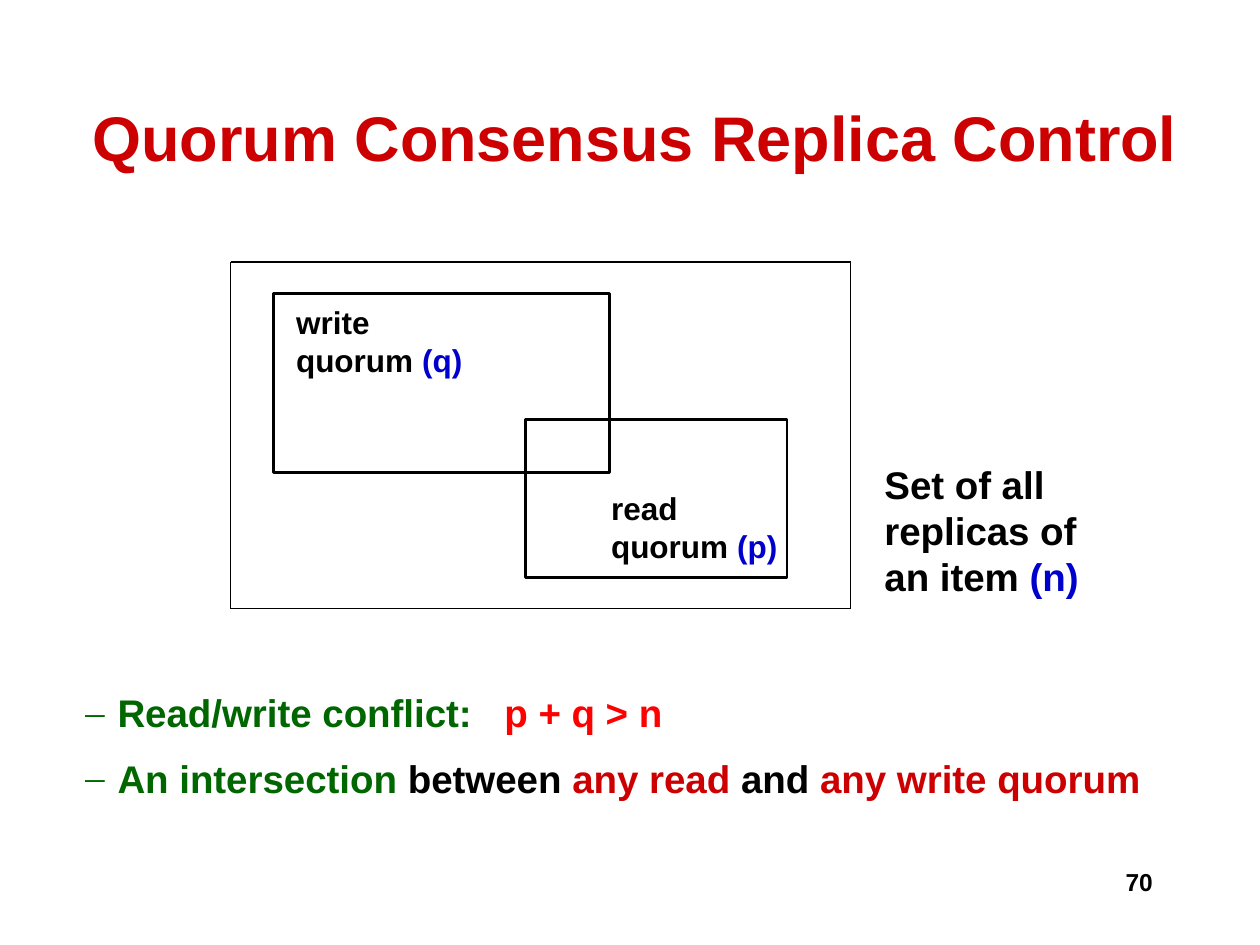
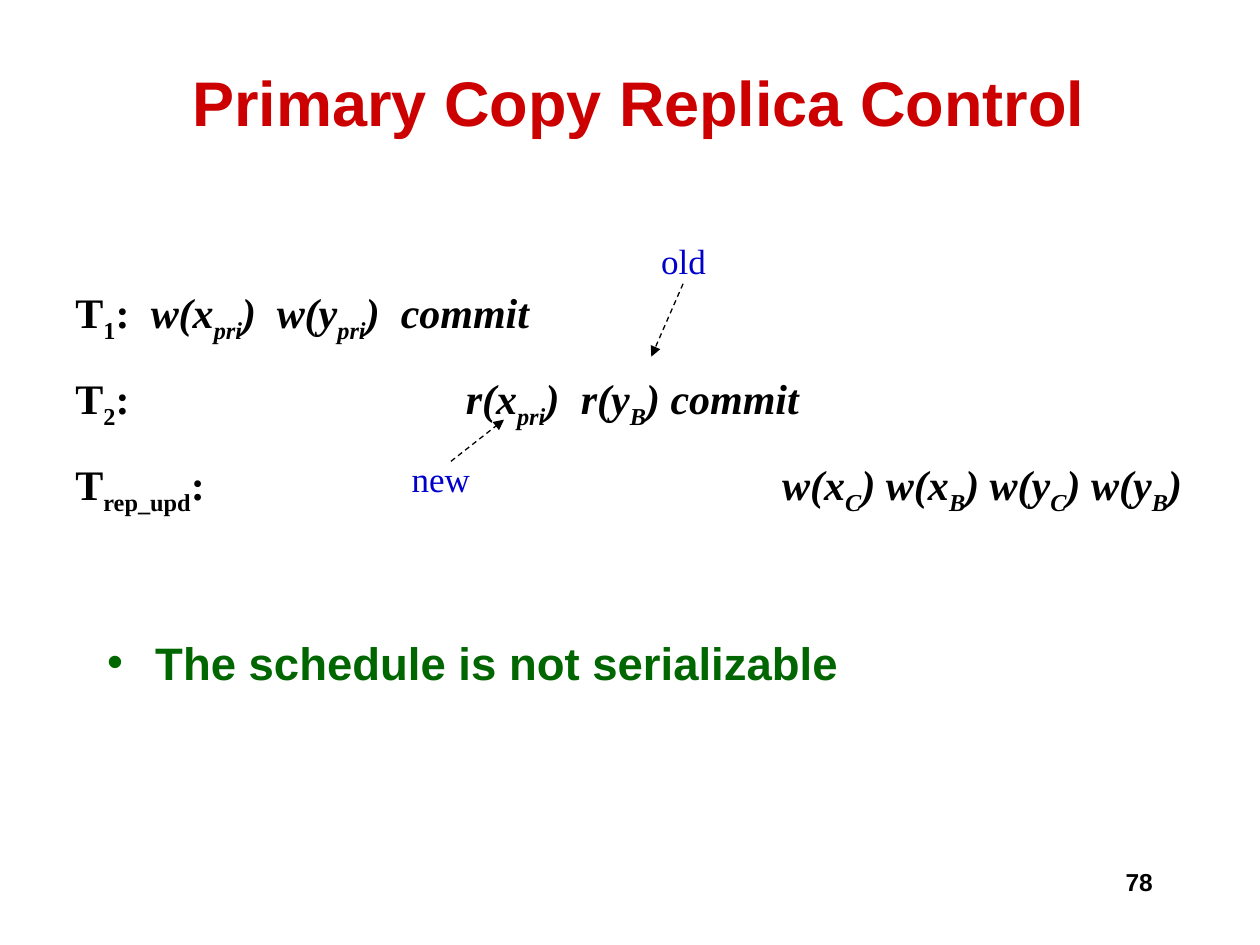
from lxml.etree import SubElement
from pptx import Presentation
from pptx.dml.color import RGBColor
from pptx.enum.dml import MSO_LINE
from pptx.enum.shapes import MSO_CONNECTOR as CONNECTOR, MSO_SHAPE as SHAPE
from pptx.enum.text import MSO_ANCHOR as ANCHOR, PP_ALIGN as ALIGN
from pptx.oxml.ns import qn
from pptx.util import Cm, Pt

BLACK = RGBColor(0x00, 0x00, 0x00)
CRIMSON = RGBColor(0xCC, 0x00, 0x00)
RED = RGBColor(0xFF, 0x00, 0x00)
BLUE = RGBColor(0x00, 0x00, 0xCC)
GREEN = RGBColor(0x00, 0x66, 0x00)
SANS, SERIF = "Arial", "Times New Roman"


class Deck:
    def __init__(self):
        self.presentation = Presentation()
        self.presentation.slide_width = Cm(25.4)
        self.presentation.slide_height = Cm(19.05)
        self.slide = None

    def new_slide(self, title, title_box, number):
        self.slide = self.presentation.slides.add_slide(self.presentation.slide_layouts[6])
        self.text(title_box, [[(title, CRIMSON)]], 36, align=ALIGN.CENTER, anchor=ANCHOR.MIDDLE)
        self.text((18.21, 17.35, 5.28, 1.27), [[(number, BLACK)]], 14, align=ALIGN.RIGHT)

    def frame(self, box, wrap=True, anchor=ANCHOR.TOP):
        text_frame = self.slide.shapes.add_textbox(*map(Cm, box)).text_frame
        text_frame.word_wrap = wrap
        text_frame.vertical_anchor = anchor
        return text_frame

    def paragraph(self, text_frame, index, size, font=SANS, bold=True):
        paragraph = text_frame.add_paragraph() if index else text_frame.paragraphs[0]
        paragraph.font.size = Pt(size)
        paragraph.font.name = font
        paragraph.font.bold = bold
        return paragraph

    def colour_runs(self, paragraph, runs):
        if len({colour for _, colour in runs}) == 1:
            paragraph.font.color.rgb = runs[0][1]
        for text, colour in runs:
            run = paragraph.add_run()
            run.text = text
            if len(runs) > 1:
                run.font.color.rgb = colour

    def text(self, box, lines, size, font=SANS, bold=True, align=ALIGN.LEFT,
             anchor=ANCHOR.TOP, wrap=True):
        text_frame = self.frame(box, wrap, anchor)
        for index, runs in enumerate(lines):
            paragraph = self.paragraph(text_frame, index, size, font, bold)
            paragraph.alignment = align
            self.colour_runs(paragraph, runs)

    def bullets(self, box, items, size, character, indent, font):
        text_frame = self.frame(box)
        for index, (space, stops, runs) in enumerate(items):
            paragraph = self.paragraph(text_frame, index, size)
            paragraph.space_before = Pt(size * space)
            self.colour_runs(paragraph, runs)
            properties = paragraph._p.get_or_add_pPr()
            properties.set("marL", str(Cm(indent)))
            properties.set("indent", str(-Cm(indent)))
            SubElement(properties, qn("a:buFont"), typeface=font)
            SubElement(properties, qn("a:buChar"), char=character)
            self.tabs(properties, stops)

    def tabs(self, properties, stops):
        if stops:
            tab_list = SubElement(properties, qn("a:tabLst"))
            for stop in stops:
                SubElement(tab_list, qn("a:tab"), pos=str(Cm(stop)), algn="l")
        defaults = properties.find(qn("a:defRPr"))
        properties.append(defaults)

    def schedule(self, box, rows, size):
        text_frame = self.frame(box)
        for index, (transaction, operations, stops) in enumerate(rows):
            paragraph = self.paragraph(text_frame, index, size, SERIF)
            paragraph.font.color.rgb = BLACK
            paragraph.line_spacing = 1.5
            self.tabs(paragraph._p.get_or_add_pPr(), stops)
            self.subscripted(paragraph, f"T|{transaction}|:\t", False)
            self.subscripted(paragraph, operations, True)

    def subscripted(self, paragraph, markup, italic):
        for position, part in enumerate(markup.split("|")):
            run = paragraph.add_run()
            run.text = part
            run.font.italic = italic
            if position % 2:
                run._r.get_or_add_rPr().set("baseline", "-25000")

    def line(self, start, end, arrow=False):
        connector = self.slide.shapes.add_connector(
            CONNECTOR.STRAIGHT, *map(Cm, (*start, *end)))
        connector.line.color.rgb = BLACK
        connector.line.width = Pt(0.75)
        if arrow:
            connector.line.dash_style = MSO_LINE.DASH
            SubElement(connector.line._get_or_add_ln(), qn("a:tailEnd"), type="triangle")
        SubElement(connector._element.spPr, qn("a:effectLst"))

    def rectangle(self, box):
        shape = self.slide.shapes.add_shape(SHAPE.RECTANGLE, *map(Cm, box))
        shape.shadow.inherit = False
        shape.fill.background()
        shape.line.color.rgb = BLACK
        shape.line.width = Pt(1.5)

    def quorum(self, kind, symbol, label_box, box):
        self.text(label_box, [[(kind, BLACK)], [("quorum ", BLACK), (symbol, BLUE)]],
                  18, wrap=False)
        self.rectangle(box)

    def callout(self, label, box, start, end):
        self.text(box, [[(label, BLUE)]], 20, SERIF, bold=False, wrap=False)
        self.line(start, end, arrow=True)


deck = Deck()

deck.new_slide("Quorum Consensus Replica Control", (1.47, 1.47, 22.66, 2.54), "70")
left, top, right, bottom = 4.65, 5.28, 17.15, 12.27
for x in (left, right):
    deck.line((x, top), (x, bottom))
for y in (top, bottom):
    deck.line((left, y), (right, y))
deck.text((17.58, 9.17, 4.45, 3.05),
          [[("Set of all", BLACK)], [("replicas of", BLACK)],
           [("an item ", BLACK), ("(n)", BLUE)]], 22, wrap=False)
deck.bullets((1.47, 13.77, 22.43, 2.59), [
    (0.2, [8.45], [("Read/write conflict:\t", GREEN), ("p + q > n", RED)]),
    (0.5, [], [("An intersection", GREEN), (" between ", BLACK), ("any read", CRIMSON),
               (" and ", BLACK), ("any write quorum", CRIMSON)]),
], 22, "–", 0.65, SERIF)
deck.quorum("write", "(q)", (5.72, 5.99, 3.86, 1.78), (5.51, 5.92, 6.78, 3.61))
deck.quorum("read", "(p)", (12.07, 9.73, 3.86, 1.78), (10.59, 8.46, 5.28, 3.18))

deck.new_slide("Primary Copy Replica Control", (2.08, 0.84, 21.59, 2.39), "78")
deck.bullets((1.91, 12.67, 17.15, 2.74),
             [(0.2, [], [("The schedule is not serializable", GREEN)])], 26, "•", 0.97, SANS)
deck.schedule((1.27, 5.08, 23.19, 4.83), [
    ("1", "w(x|pri|)\tw(y|pri|)\tcommit", [1.52, 4.06, 6.56]),
    ("2", "r(x|pri|)\tr(y|B|) commit", [7.87, 10.19]),
    ("rep_upd", "w(x|C|) w(x|B|) w(y|C|) w(y|B|)", [14.25]),
], 24)
deck.callout("new", (8.05, 9.09, 1.7, 1.09), (9.09, 9.3), (10.16, 8.46))
deck.callout("old", (13.08, 4.7, 1.42, 1.09), (13.77, 5.72), (13.13, 7.19))

deck.presentation.save("out.pptx")
